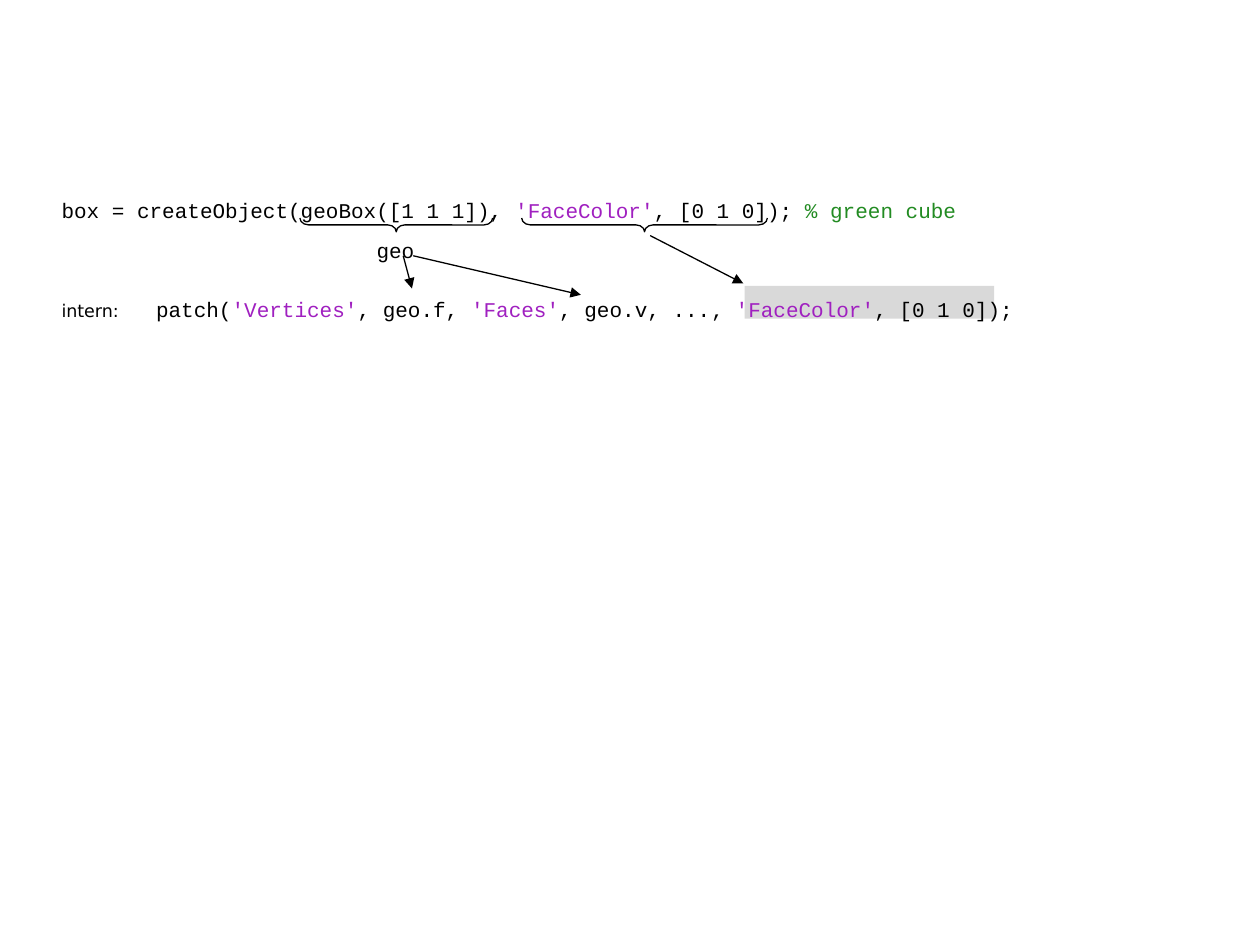
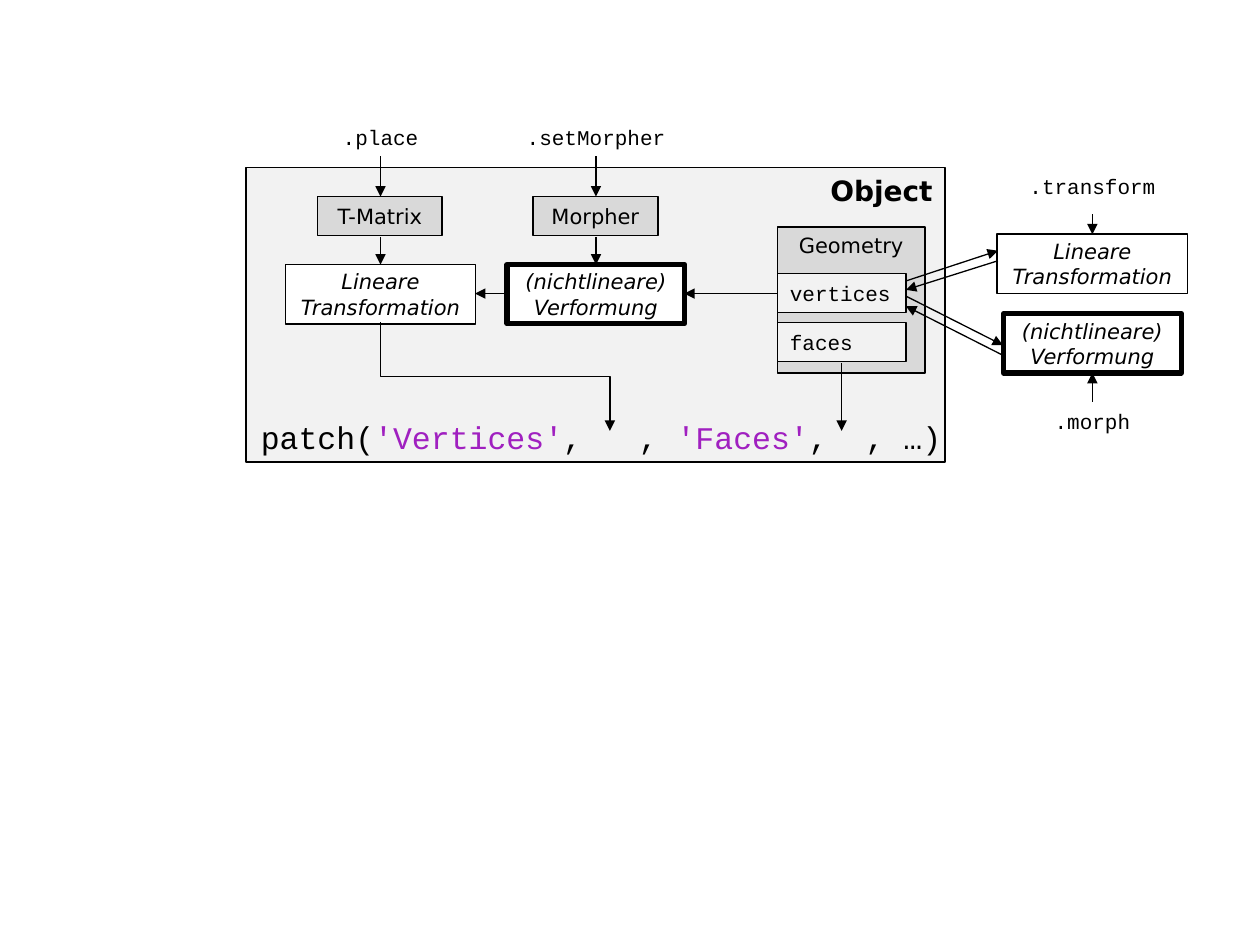
from lxml import etree
from pptx import Presentation
from pptx import util as u
from pptx.dml.color import RGBColor
from pptx.enum import shapes, text
from pptx.oxml import ns

COLORS = {
    "black": "000000", "white": "FFFFFF", "panel": "F2F2F2",
    "grey": "D9D9D9", "string": "A020C0", "comment": "228B22",
}
CODE_FONT = "Courier New"
TEXT_FONT = "DejaVu Sans"
Inches = u.Inches
LEFT, CENTER, RIGHT = text.PP_ALIGN.LEFT, text.PP_ALIGN.CENTER, text.PP_ALIGN.RIGHT
TOP, MIDDLE = text.MSO_ANCHOR.TOP, text.MSO_ANCHOR.MIDDLE
RECTANGLE = shapes.MSO_SHAPE.RECTANGLE
PROCESSES = {
    "linear": (1.51, 1, ["Lineare", "Transformation"]),
    "deform": (1.41, 3, ["(nichtlineare)", "Verformung"]),
}


def color(name):
    return RGBColor.from_string(COLORS[name])


def style_font(font, name, size, bold=False, italic=False):
    font.name = name
    font.size = u.Pt(size)
    font.bold = bold
    font.italic = italic
    font.color.rgb = color("black")


def add_tabs(paragraph, stops):
    properties = paragraph._p.get_or_add_pPr()
    tab_list = etree.SubElement(properties, ns.qn("a:tabLst"))
    for stop in stops:
        etree.SubElement(tab_list, ns.qn("a:tab"), pos=str(Inches(stop)), algn="l")


def add_code(paragraph, runs, size=12, tabs=()):
    if tabs:
        add_tabs(paragraph, tabs)
    style_font(paragraph.font, CODE_FONT, size)
    for content, color_name in runs:
        run = paragraph.add_run()
        run.text = content
        run.font.color.rgb = color(color_name)


def write_lines(frame, lines, alignment, **font_style):
    for index, line in enumerate(lines):
        paragraph = frame.paragraphs[0] if index == 0 else frame.add_paragraph()
        paragraph.text = line
        paragraph.alignment = alignment
        style_font(paragraph.font, **font_style)


def add_text_box(slide, left, top, width, height, inset=0.0):
    frame = slide.shapes.add_textbox(
        Inches(left), Inches(top), Inches(width), Inches(height)).text_frame
    frame.word_wrap = True
    frame.margin_left = Inches(inset)
    frame.margin_right = 0
    return frame


def add_label(slide, center, top, width, content):
    frame = add_text_box(slide, center - width / 2, top, width, 0.3)
    write_lines(frame, [content], CENTER, name=CODE_FONT, size=12)


def add_box(slide, left, top, width, height, fill, line=1, lines=(), alignment=CENTER,
            anchor=MIDDLE, name=TEXT_FONT, size=12, bold=False, italic=False):
    shape = slide.shapes.add_shape(
        RECTANGLE, Inches(left), Inches(top), Inches(width), Inches(height))
    shape.shadow.inherit = False
    shape.fill.solid()
    shape.fill.fore_color.rgb = color(fill)
    if line:
        shape.line.color.rgb = color("black")
        shape.line.width = u.Pt(line)
    else:
        shape.line.fill.background()
    shape.text_frame.vertical_anchor = anchor
    write_lines(shape.text_frame, lines, alignment,
                name=name, size=size, bold=bold, italic=italic)


def add_process(slide, kind, center, top):
    width, line, lines = PROCESSES[kind]
    add_box(slide, center - width / 2, top, width, 0.47, "white", line, lines, italic=True)


def add_brace(slide, left, top, width, height):
    shape = slide.shapes.add_shape(
        shapes.MSO_SHAPE.RIGHT_BRACE,
        Inches(left + (width - height) / 2), Inches(top + (height - width) / 2),
        Inches(height), Inches(width))
    shape.rotation = 90
    shape.adjustments[0] = 0.62
    shape.shadow.inherit = False
    shape.fill.background()
    shape.line.color.rgb = color("black")
    shape.line.width = u.Pt(0.75)


def add_arrow(slide, x1, y1, x2, y2, kind=shapes.MSO_CONNECTOR.STRAIGHT):
    connector = slide.shapes.add_connector(
        kind, Inches(x1), Inches(y1), Inches(x2), Inches(y2))
    connector.line.color.rgb = color("black")
    connector.line.width = u.Pt(0.75)
    outline = connector.line._get_or_add_ln()
    etree.SubElement(outline, ns.qn("a:tailEnd"), type="triangle")
    etree.SubElement(connector._element.spPr, ns.qn("a:effectLst"))
    return connector


def add_down_elbow(slide, x1, y1, x2, y2):
    center_x, center_y = (x1 + x2) / 2, (y1 + y2) / 2
    half_width, half_height = (y2 - y1) / 2, (x2 - x1) / 2
    connector = add_arrow(
        slide, center_x - half_width, center_y - half_height,
        center_x + half_width, center_y + half_height, shapes.MSO_CONNECTOR.ELBOW)
    transform = connector._element.spPr.find(ns.qn("a:xfrm"))
    transform.set("rot", str(270 * 60000))
    transform.set("flipH", "1")


def draw_call_expansion(slide, left, top, width, height):
    add_box(slide, left + 5.52, top + 0.79, 1.98, 0.26, "grey", line=0)
    frame = add_text_box(slide, left, top, width, height, inset=0.1)
    frame.margin_top = Inches(0.09)
    call = frame.paragraphs[0]
    add_code(call, [
        ("box = createObject(geoBox([1 1 1]), ", "black"), ("'FaceColor'", "string"),
        (", [0 1 0]); ", "black"), ("% green cube", "comment")])

    geometry = frame.add_paragraph()
    geometry.space_before = u.Pt(8)
    geometry._p.get_or_add_pPr().set("marL", str(Inches(2.5)))
    add_code(geometry, [("geo", "black")])

    internal = frame.add_paragraph()
    internal.space_before = u.Pt(19.5)
    add_code(internal, [
        ("intern:", "black"), ("\tpatch(", "black"), ("'Vertices'", "string"),
        (", geo.f, ", "black"), ("'Faces'", "string"), (", geo.v, ...\u201a ", "black"),
        ("'FaceColor'", "string"), (", [0 1 0]);", "black")], tabs=[0.75])
    style_font(internal.runs[0].font, TEXT_FONT, 10)

    for brace_left, brace_width in [(1.99, 1.53), (3.75, 1.95)]:
        add_brace(slide, left + brace_left, top + 0.25, brace_width, 0.11)
    for x1, y1, x2, y2 in [(2.81, 0.55, 2.88, 0.81), (2.89, 0.55, 4.22, 0.86),
                           (4.77, 0.39, 5.51, 0.77)]:
        add_arrow(slide, left + x1, top + y1, left + x2, top + y2)


def draw_object_panel(slide, left, top, width, height):
    add_box(slide, left, top, width, height, "panel", lines=["Object"],
            alignment=RIGHT, anchor=TOP, size=16, bold=True)

    patch = add_text_box(slide, left, top + height - 0.4, width + 0.08, 0.4, inset=0.12)
    add_code(patch.paragraphs[0], [
        ("patch(", "black"), ("'Vertices'", "string"), (",\t, ", "black"),
        ("'Faces'", "string"), (",\t, \u2026)", "black")], size=18, tabs=[3, 4.8])

    geometry_left = left + 4.22
    middle = top + 1
    add_arrow(slide, geometry_left, middle, left + 3.48, middle)
    add_box(slide, geometry_left, top + 0.47, 1.17, 1.16, "grey",
            lines=["Geometry"], anchor=TOP)
    for field, field_top in [("faces", 1.23), ("vertices", 0.84)]:
        add_box(slide, geometry_left, top + field_top, 1.02, 0.31, "panel",
                lines=[field], alignment=LEFT, name=CODE_FONT)

    stages = [(1.07, ".place", 0.81, "T-Matrix", "linear"),
              (2.78, ".setMorpher", 1.32, "Morpher", "deform")]
    for offset, method, label_width, state, process in stages:
        center = left + offset
        add_label(slide, center, top - 0.39, label_width, method)
        add_box(slide, center - 0.5, top + 0.23, 0.99, 0.31, "grey", lines=[state])
        add_process(slide, process, center, top + 0.77)
        add_arrow(slide, center, top - 0.09, center, top + 0.23)
        add_arrow(slide, center, top + 0.55, center, top + 0.77)

    add_arrow(slide, left + 2.07, middle, left + 1.82, middle)
    add_down_elbow(slide, left + 1.07, top + 1.23, left + 2.89, top + 2.09)
    add_arrow(slide, left + 4.73, top + 1.55, left + 4.73, top + 2.09)


def draw_vertex_operations(slide, left, top):
    center = left + 1.48
    add_label(slide, center, top, 1.22, ".transform")
    add_process(slide, "linear", center, top + 0.53)
    add_process(slide, "deform", center, top + 1.16)
    add_label(slide, center, top + 1.86, 2.03, ".morph")
    add_arrow(slide, center, top + 0.37, center, top + 0.53)
    add_arrow(slide, center, top + 1.86, center, top + 1.63)
    for x1, y1, x2, y2 in [(0, 0.9, 0.73, 0.66), (0.73, 0.74, 0, 0.97),
                           (0, 1.02, 0.77, 1.41), (0.77, 1.49, 0, 1.1)]:
        add_arrow(slide, left + x1, top + y1, left + x2, top + y2)


presentation = Presentation()
presentation.slide_width = Inches(10)
presentation.slide_height = Inches(7.5)
blank_layout = presentation.slide_layouts.get_by_name("Blank")

call_slide = presentation.slides.add_slide(blank_layout)
draw_call_expansion(call_slide, 0.39, 1.48, 7.9, 1.28)

object_slide = presentation.slides.add_slide(blank_layout)
draw_object_panel(object_slide, 1.95, 1.33, 5.55, 2.34)
draw_vertex_operations(object_slide, 7.19, 1.33)

presentation.save("out.pptx")
